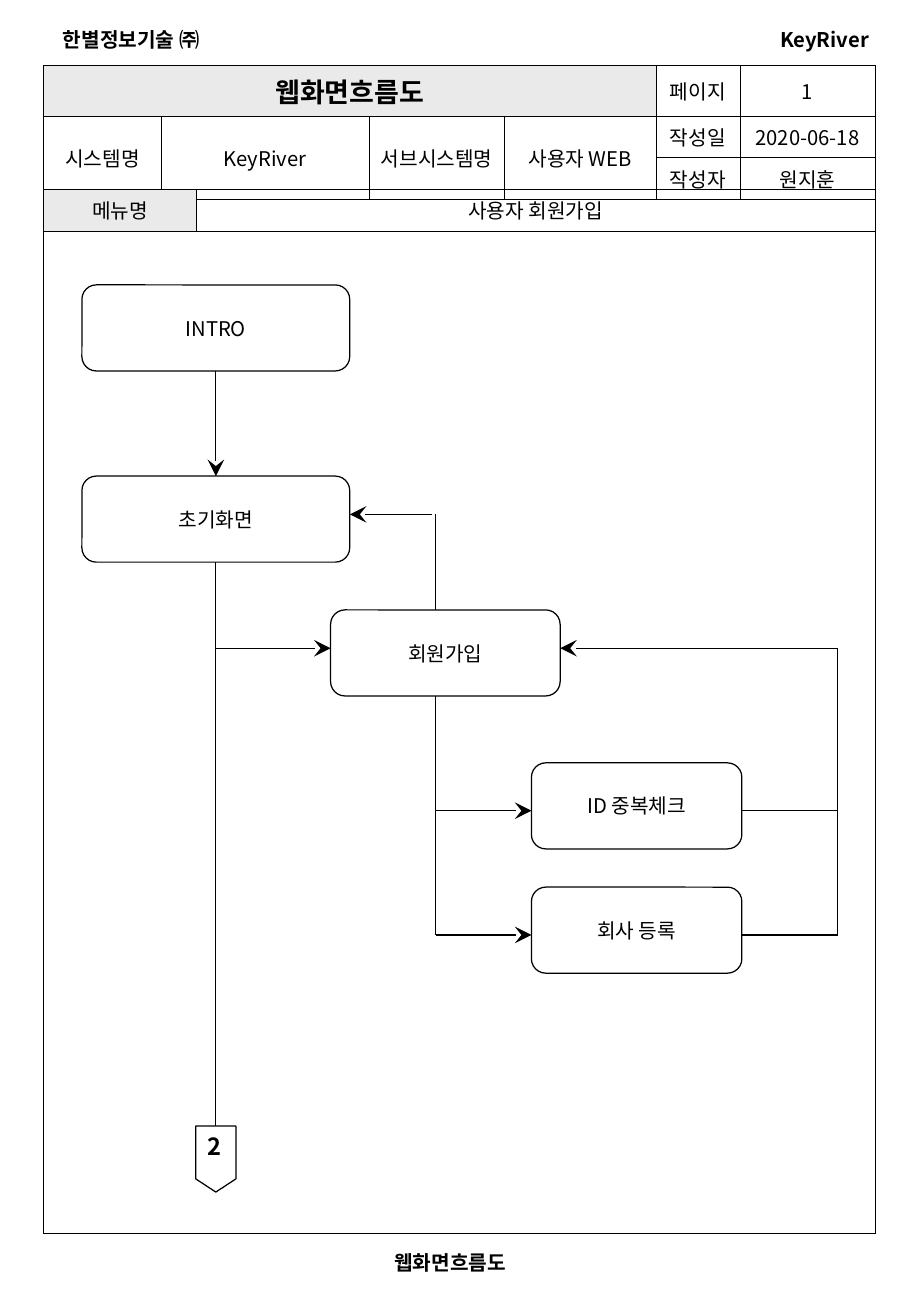
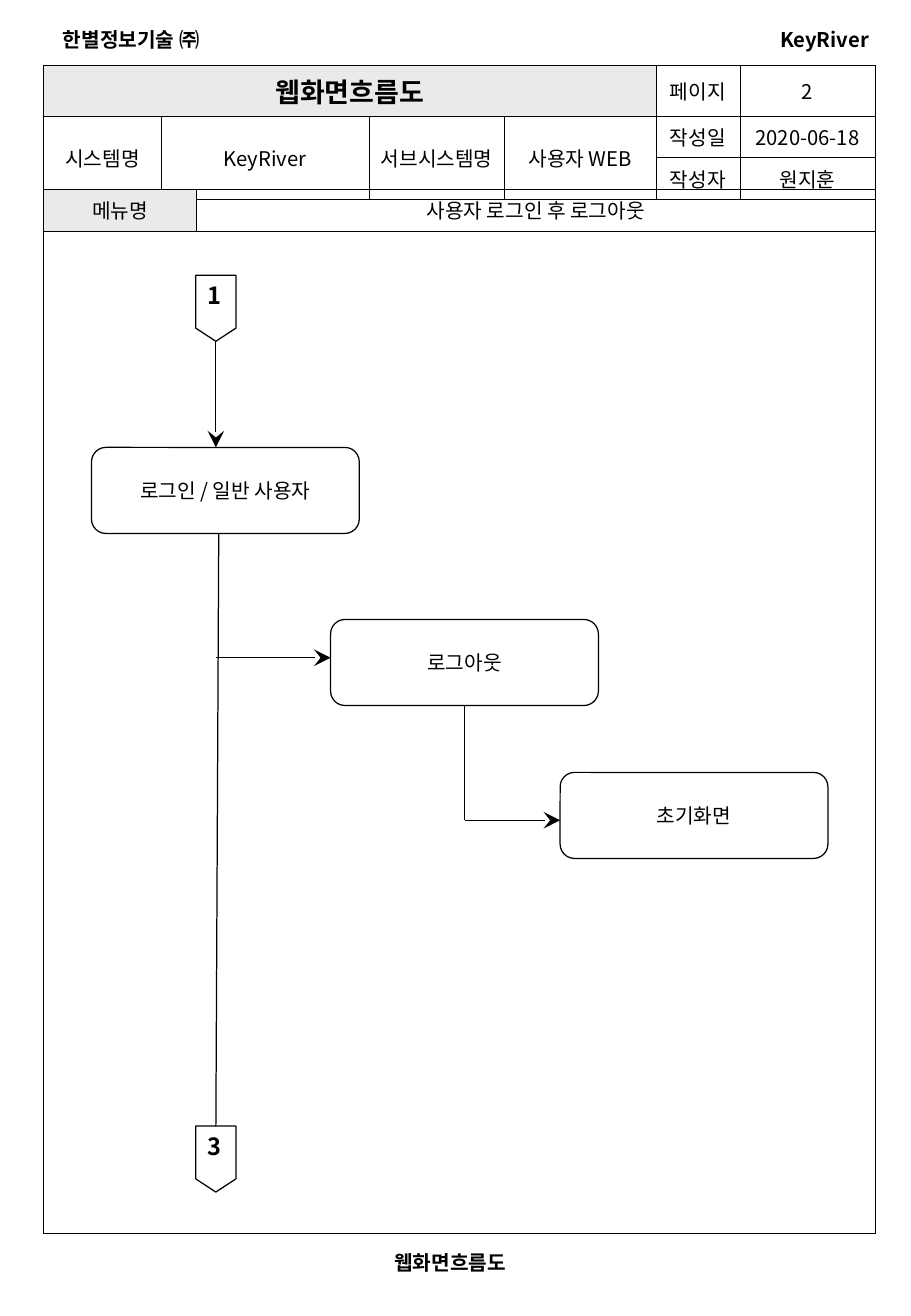
from dataclasses import dataclass

from lxml import etree
from pptx import Presentation
from pptx import util as u
from pptx.dml.color import RGBColor
from pptx.enum import shapes, text
from pptx.oxml import ns

TOP, LEFT, BOTTOM, RIGHT = range(4)
COMPANY = "한별정보기술 ㈜"
SYSTEM = "KeyRiver"
FORM = "웹화면흐름도"


@dataclass(frozen=True)
class Theme:
    font: str = "Noto Sans CJK KR"
    ink: str = "000000"
    paper: str = "FFFFFF"
    label: str = "EAEAEA"
    heading: float = 16
    page_mark: float = 14
    body: float = 12
    line: float = 0.75
    thin: float = 0.5
    border: float = 0.34


THEME = Theme()


def write(frame, words, size=THEME.body, bold=False, align=text.PP_ALIGN.CENTER):
    paragraph = frame.paragraphs[0]
    paragraph.alignment = align
    run = paragraph.add_run()
    run.text = words
    font = run.font
    font.size = u.Pt(size)
    font.bold = bold
    font.color.rgb = RGBColor.from_string(THEME.ink)
    font.name = THEME.font
    etree.SubElement(font._rPr, ns.qn("a:ea"), typeface=THEME.font)


class FlowSheet:
    UNIT = u.Cm(0.2)
    ORIGIN_X = u.Inches(0.36)
    ORIGIN_Y = u.Inches(1.56)
    BOX_ROWS = 9
    TRUNK = 18

    def __init__(self, deck):
        self.deck = deck
        self.slide = None

    def size(self, units):
        return round(units * self.UNIT)

    def point(self, col, row):
        return self.ORIGIN_X + self.size(col), self.ORIGIN_Y + self.size(row)

    def area(self, col, row, cols, rows):
        return *self.point(col, row), self.size(cols), self.size(rows)

    def start(self, page, menu):
        self.slide = self.deck.slides.add_slide(self.deck.slide_layouts[5])
        self.caption(self.slide.shapes.title, FORM, 21, 111, 43)
        self.heading(COMPANY, 0)
        self.heading(SYSTEM, 68, align=text.PP_ALIGN.RIGHT)
        self.table(-13, [12.3, 21.7, 14.2, 15.8, 8.8, 14.1], [5.1, 4.1, 4.1], [
            [FORM, None, None, None, "페이지", page],
            ["시스템명", SYSTEM, "서브시스템명", "사용자 WEB", "작성일", "2020-06-18"],
            [None, None, None, None, "작성자", "원지훈"],
        ], [(0, 0, 0, 3)] + [(1, col, 2, col) for col in range(4)],
            heading=THEME.heading)
        self.table(0, [16, 70.9], [4.1, 104.9],
                   [["메뉴명", menu], [None, None]], [(1, 0, 1, 1)],
                   anchor=text.MSO_ANCHOR.TOP)

    def caption(self, box, words, col, row, cols, align=text.PP_ALIGN.CENTER):
        box.left, box.top, box.width, box.height = self.area(col, row, cols, 2)
        frame = box.text_frame
        frame.word_wrap = True
        frame.auto_size = text.MSO_AUTO_SIZE.NONE
        frame.vertical_anchor = text.MSO_ANCHOR.TOP
        frame.margin_left = frame.margin_right = 0
        frame.margin_top = frame.margin_bottom = 0
        write(frame, words, bold=True, align=align)

    def heading(self, words, col, **look):
        box = self.slide.shapes.add_textbox(0, 0, 0, 0)
        self.caption(box, words, col, -17, 18.3, **look)

    def table(self, row, cols, rows, cells, spans, heading=None,
              anchor=text.MSO_ANCHOR.MIDDLE):
        grid = self.slide.shapes.add_table(
            len(rows), len(cols), *self.area(0, row, sum(cols), sum(rows))).table
        grid.first_row = grid.horz_banding = False
        for column, width in zip(grid.columns, cols):
            column.width = self.size(width)
        for line, height in zip(grid.rows, rows):
            line.height = self.size(height)
        for top, left, bottom, right in spans:
            grid.cell(top, left).merge(grid.cell(bottom, right))
        for r, line in enumerate(cells):
            for c, words in enumerate(line):
                first = r == c == 0
                cell = grid.cell(r, c)
                self.format_cell(cell, first, anchor)
                if words:
                    large = first and heading
                    write(cell.text_frame, words, bold=bool(large),
                          size=heading if large else THEME.body)

    def format_cell(self, cell, shaded, anchor):
        cell.vertical_anchor = anchor
        cell.margin_left = cell.margin_right = u.Inches(0.04)
        cell.margin_top = cell.margin_bottom = u.Inches(0.05)
        properties = cell._tc.get_or_add_tcPr()
        for side in ("lnL", "lnR", "lnT", "lnB"):
            edge = etree.SubElement(properties, ns.qn(f"a:{side}"),
                                    w=str(u.Pt(THEME.border)))
            fill = etree.SubElement(edge, ns.qn("a:solidFill"))
            etree.SubElement(fill, ns.qn("a:srgbClr"), val=THEME.ink)
        if shaded:
            cell.fill.solid()
            cell.fill.fore_color.rgb = RGBColor.from_string(THEME.label)
        else:
            cell.fill.background()

    def outline(self, preset, *area):
        shape = self.slide.shapes.add_shape(preset, *self.area(*area))
        shape.shadow.inherit = False
        shape.line.width = u.Pt(THEME.line)
        shape.line.color.rgb = RGBColor.from_string(THEME.ink)
        return shape

    def screen(self, words, col, row, cols=28):
        box = self.outline(shapes.MSO_SHAPE.ROUNDED_RECTANGLE,
                           col, row, cols, self.BOX_ROWS)
        box.adjustments[0] = 0.167
        box.fill.background()
        box.text_frame.word_wrap = False
        box.text_frame.vertical_anchor = text.MSO_ANCHOR.MIDDLE
        write(box.text_frame, words)
        return box

    def page_mark(self, page, row):
        width = 4.2
        mark = self.outline(shapes.MSO_SHAPE.FLOWCHART_OFFPAGE_CONNECTOR,
                            self.TRUNK - width / 2, row, width, 6.9)
        mark.fill.solid()
        mark.fill.fore_color.rgb = RGBColor.from_string(THEME.paper)
        mark.text_frame.word_wrap = True
        mark.text_frame.vertical_anchor = text.MSO_ANCHOR.TOP
        write(mark.text_frame, page, size=THEME.page_mark, bold=True,
              align=text.PP_ALIGN.LEFT)
        return mark

    def flow(self, start, end, arrow=False, begin=None, finish=None,
             weight=THEME.line):
        line = self.slide.shapes.add_connector(
            shapes.MSO_CONNECTOR.STRAIGHT, *self.point(*start), *self.point(*end))
        if begin:
            line.begin_connect(*begin)
        if finish:
            line.end_connect(*finish)
        line.line.width = u.Pt(weight)
        line.line.color.rgb = RGBColor.from_string(THEME.ink)
        if arrow:
            etree.SubElement(line.line._get_or_add_ln(), ns.qn("a:tailEnd"),
                             type="stealth", w="lg", len="lg")
        etree.SubElement(line._element.spPr, ns.qn("a:effectLst"))


def sign_up(sheet):
    sheet.start("1", "사용자 회원가입")
    trunk, branch, back = sheet.TRUNK, 41, 83
    intro = sheet.screen("INTRO", 4, 10)
    home = sheet.screen("초기화면", 4, 30)
    sheet.screen("회원가입", 30, 44, cols=24)
    next_page = sheet.page_mark("2", 98)
    sheet.flow((trunk, 19), (trunk, 30), arrow=True,
               begin=(intro, BOTTOM), finish=(home, TOP))
    sheet.flow((trunk, 39), (trunk, 98),
               begin=(home, BOTTOM), finish=(next_page, TOP))
    sheet.flow((trunk, 48), (30, 48), arrow=True)
    sheet.flow((branch, 53), (branch, 78))
    for words, row in (("ID 중복체크", 60), ("회사 등록", 73)):
        sheet.screen(words, 51, row, cols=22)
        sheet.flow((branch, row + 5), (51, row + 5), arrow=True)
        sheet.flow((73, row + 5), (back, row + 5))
    sheet.flow((back, 48), (back, 78))
    sheet.flow((back, 48), (54, 48), arrow=True)
    sheet.flow((40.6, 34), (32, 34), arrow=True)
    sheet.flow((branch, 34), (branch, 44))


def log_out(sheet):
    sheet.start("2", "사용자 로그인 후 로그아웃")
    trunk, branch = sheet.TRUNK, 44
    previous_page = sheet.page_mark("1", 9)
    next_page = sheet.page_mark("3", 98)
    sheet.screen("로그인 / 일반 사용자", 5, 27)
    leave = sheet.screen("로그아웃", 30, 45)
    sheet.screen("초기화면", 54, 61)
    sheet.flow((trunk, 16), (trunk, 27), arrow=True, begin=(previous_page, BOTTOM))
    sheet.flow((18.3, 36), (trunk, 98), finish=(next_page, TOP))
    sheet.flow((trunk, 49), (30, 49), arrow=True)
    sheet.flow((branch, 54), (branch, 66), begin=(leave, BOTTOM), weight=THEME.thin)
    sheet.flow((branch, 66), (54, 66), arrow=True)


def main():
    deck = Presentation()
    deck.slide_width = u.Inches(7.5)
    deck.slide_height = u.Inches(10.84)
    sheet = FlowSheet(deck)
    sign_up(sheet)
    log_out(sheet)
    deck.save("out.pptx")


if __name__ == "__main__":
    main()
